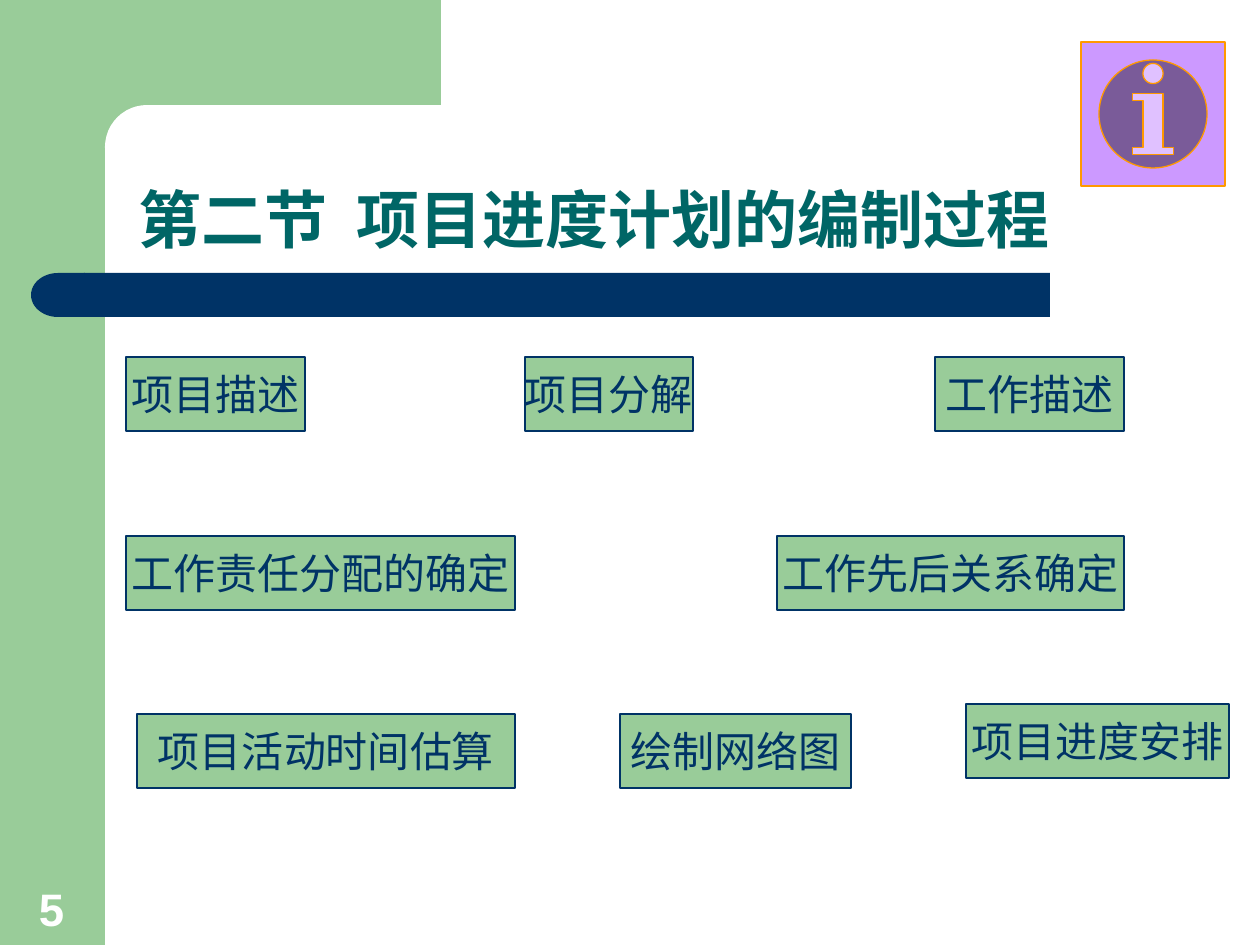
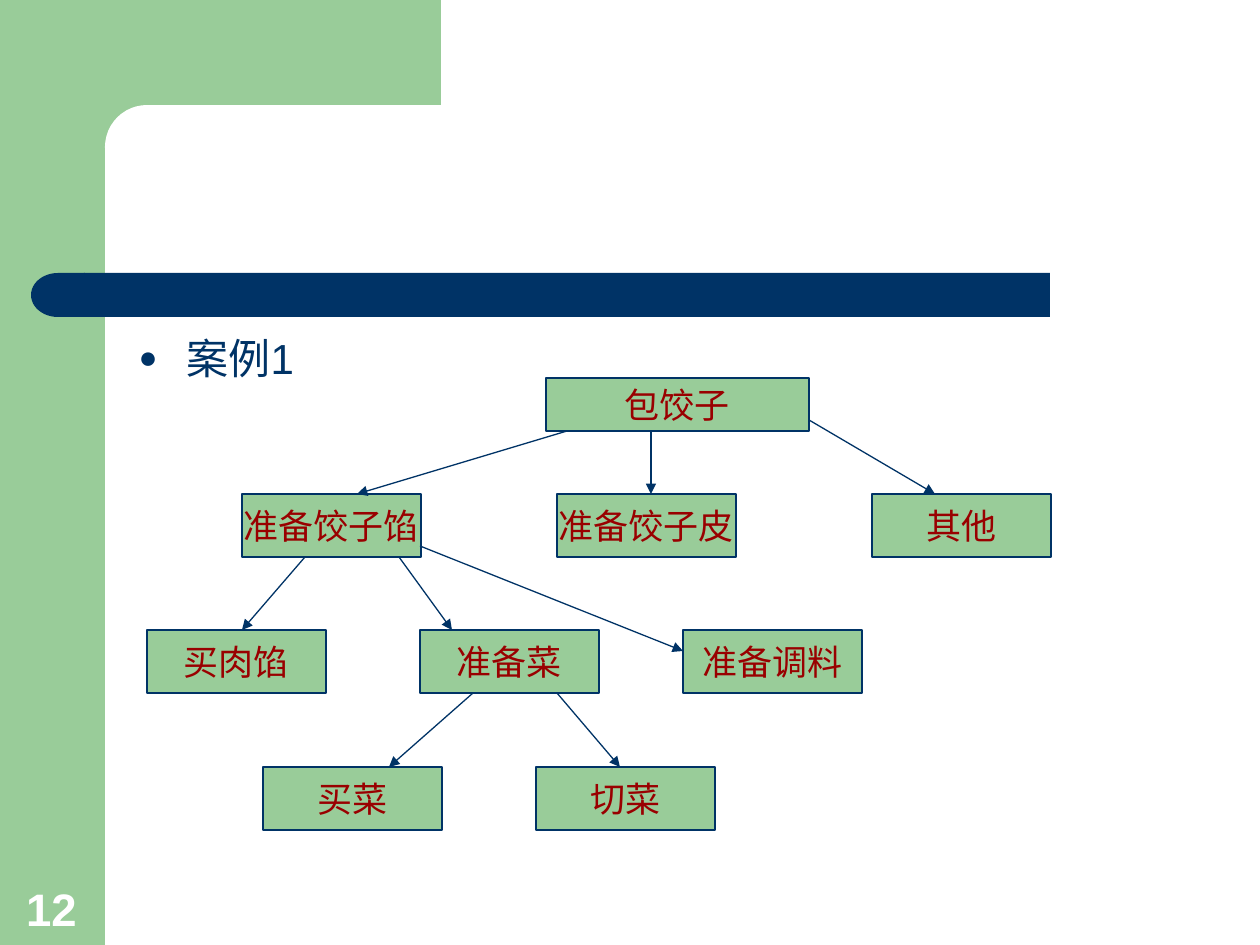
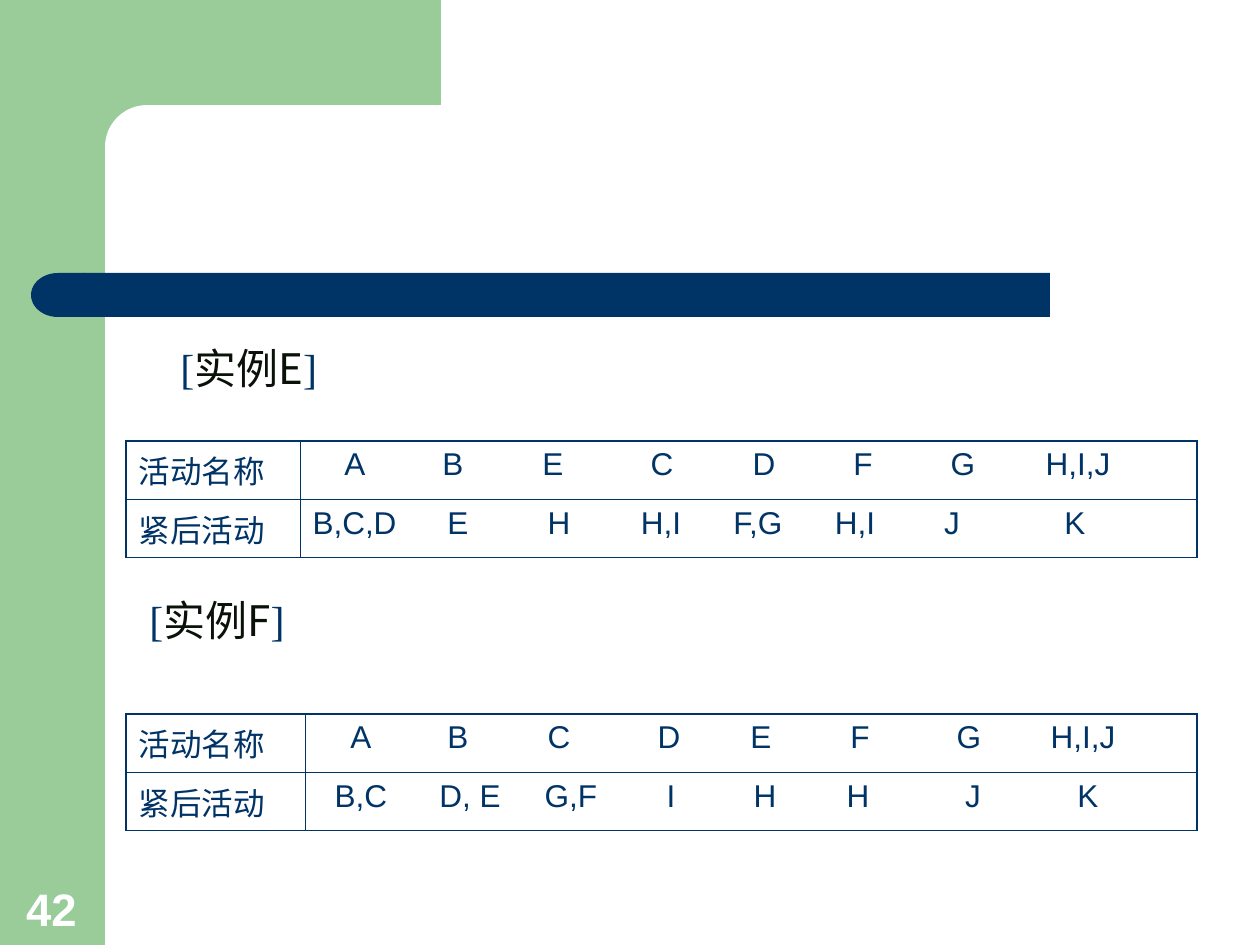
import pptx
import pptx.dml.color
import pptx.enum.shapes
import pptx.enum.text
import pptx.oxml
import pptx.oxml.ns
import pptx.util

SHAPE = pptx.enum.shapes.MSO_SHAPE
ANCHOR = pptx.enum.text.MSO_ANCHOR
ALIGN = pptx.enum.text.PP_ALIGN

EMU_PER_PX = 914400 / 126
GREEN, NAVY, TEAL, RED = "99CC99", "003366", "006666", "990000"
WHITE, INK, VIOLET, ORANGE = "FFFFFF", "091109", "CC99FF", "FF9900"
SANS, SERIF, CHINESE = "Arial", "Times New Roman", "Noto Sans CJK SC"
CELL_MARGIN = 12.6

STEPS = [
    ("项目描述", 126, 357, 179), ("项目分解", 525, 357, 168), ("工作描述", 935, 357, 189),
    ("工作责任分配的确定", 126, 536, 389), ("工作先后关系确定", 777, 536, 347),
    ("项目活动时间估算", 137, 714, 378), ("绘制网络图", 620, 714, 231),
    ("项目进度安排", 966, 704, 263),
]
TASK_ROWS = [
    (494, [("准备饺子馅", 242), ("准备饺子皮", 557), ("其他", 872)]),
    (630, [("买肉馅", 147), ("准备菜", 420), ("准备调料", 683)]),
    (767, [("买菜", 263), ("切菜", 536)]),
]
TASK_ARROWS = [
    (651, 431, 651, 494), (567, 431, 357, 494), (809, 420, 935, 494),
    (305, 557, 242, 630), (399, 557, 452, 630), (420, 546, 683, 651),
    (473, 693, 389, 767), (557, 693, 620, 767),
]
# Each row holds its label, its entries and the x centre of each entry.
EXAMPLE_E = [
    ("活动名称", ["A", "B", "E", "C", "D", "F", "G", "H,I,J"],
     [355, 453, 553, 662, 764, 863, 963, 1078]),
    ("紧后活动", ["B,C,D", "E", "H", "H,I", "F,G", "H,I", "J", "K"],
     [354, 458, 559, 661, 758, 855, 952, 1075]),
]
EXAMPLE_F = [
    ("活动名称", ["A", "B", "C", "D", "E", "F", "G", "H,I,J"],
     [361, 458, 559, 669, 761, 860, 969, 1083]),
    ("紧后活动", ["B,C", "D, E", "G,F", "I", "H", "H", "J", "K"],
     [361, 470, 571, 671, 765, 858, 973, 1088]),
]


def px(length):
    return pptx.util.Emu(round(length * EMU_PER_PX))


def rgb(color):
    return pptx.dml.color.RGBColor.from_string(color)


def add_xml(parent, tag, **attributes):
    child = pptx.oxml.parse_xml(f'<a:{tag} {pptx.oxml.ns.nsdecls("a")}/>')
    for name, value in attributes.items():
        child.set(name, str(value))
    parent.append(child)
    return child


def add_span(para, text, size=24, color=NAVY, font=SANS, bold=False):
    span = para.add_run()
    span.text = text
    span.font.size = pptx.util.Pt(size)
    span.font.color.rgb = rgb(color)
    span.font.name = font
    span.font.bold = bold
    add_xml(span.font._element, "ea", typeface=CHINESE)


def place(shape, left, top, width, height):
    shape.left, shape.top, shape.width, shape.height = map(px, (left, top, width, height))


def add_block(page, kind, area, fill, line=None):
    block = page.shapes.add_shape(kind, *map(px, area))
    block.shadow.inherit = False
    block.fill.solid()
    block.fill.fore_color.rgb = rgb(fill)
    if line:
        block.line.color.rgb = rgb(line)
        block.line.width = pptx.util.Pt(0.75)
    else:
        block.line.fill.background()
    return block


def add_label_box(page, text, area, **text_format):
    box = add_block(page, SHAPE.RECTANGLE, area, GREEN, NAVY)
    box.text_frame.word_wrap = False
    box.text_frame.vertical_anchor = ANCHOR.MIDDLE
    para = box.text_frame.paragraphs[0]
    para.alignment = ALIGN.CENTER
    add_span(para, text, font=SERIF, **text_format)


def add_text_box(page, area):
    """Add an empty wrapping text box and return its text frame."""
    frame = page.shapes.add_textbox(*map(px, area)).text_frame
    frame.word_wrap = True
    return frame


def add_page_number(page, number):
    frame = add_text_box(page, (11, 874, 81, 68))
    frame.vertical_anchor = ANCHOR.BOTTOM
    frame.paragraphs[0].alignment = ALIGN.CENTER
    add_span(frame.paragraphs[0], number, size=26, color=WHITE, bold=True)


def add_arrow(page, *ends):
    arrow = page.shapes.add_connector(pptx.enum.shapes.MSO_CONNECTOR.STRAIGHT, *map(px, ends))
    arrow.line.color.rgb = rgb(NAVY)
    arrow.line.width = pptx.util.Pt(0.75)
    add_xml(arrow.line._get_or_add_ln(), "tailEnd", type="triangle")
    add_xml(arrow.element.spPr, "effectLst")


def set_borders(cell, widths):
    """Draw the cell's borders, with widths in points keyed by side."""
    properties = cell._tc.get_or_add_tcPr()
    for side in "LRTB":
        line = add_xml(properties, f"ln{side}", w=pptx.util.Pt(widths[side]))
        add_xml(add_xml(line, "solidFill"), "srgbClr", val=NAVY)
    cell.fill.background()


def add_activity_table(page, top, label_width, rows):
    left, width, row_height = 126, 1071, 58
    table = page.shapes.add_table(
        len(rows), 2, px(left), px(top), px(width), px(row_height * len(rows))).table
    table.first_row = table.horz_banding = False
    table.columns[0].width = px(label_width)
    table.columns[1].width = px(width - label_width)
    text_left = left + label_width + CELL_MARGIN
    for row, (label, entries, centers) in enumerate(rows):
        for column, text in enumerate((label, "".join("\t" + entry for entry in entries))):
            cell = table.cell(row, column)
            para = cell.text_frame.paragraphs[0]
            if column == 1:
                tabs = add_xml(para._p.get_or_add_pPr(), "tabLst")
                for center in centers:
                    add_xml(tabs, "tab", pos=px(center - text_left), algn="ctr")
            add_span(para, text, size=18)
            outer = {"L": column == 0, "R": column == 1,
                     "T": row == 0, "B": row == len(rows) - 1}
            set_borders(cell, {side: 1.08 if edge else 0.45 for side, edge in outer.items()})


def add_example_heading(page, name, left, top):
    para = add_text_box(page, (left, top, 260, 63)).paragraphs[0]
    add_span(para, "[", font=SERIF)
    add_span(para, name, font=CHINESE, color=INK)
    add_span(para, "]", font=SERIF)


def decorate_master(deck, page):
    """Draw the shared bands on a page, then move them to the slide master."""
    blocks = [
        add_block(page, SHAPE.RECTANGLE, (0, 0, 105, 945), GREEN),
        add_block(page, SHAPE.RECTANGLE, (95, 0, 346, 147), GREEN),
        add_block(page, SHAPE.ROUNDED_RECTANGLE, (105, 105, 703, 84), WHITE),
        add_block(page, SHAPE.RECTANGLE, (84, 273, 966, 44), NAVY),
        add_block(page, SHAPE.FLOWCHART_DELAY, (31, 273, 54, 44), NAVY),
    ]
    blocks[2].adjustments[0] = 0.5
    blocks[4].rotation = 180
    for block in blocks:
        deck.slide_master.shapes.element.append(block.element)


def build_process_page(page):
    title = page.shapes.title
    place(title, 126, 105, 1103, 158)
    title.text_frame.vertical_anchor = ANCHOR.BOTTOM
    para = title.text_frame.paragraphs[0]
    para.alignment = ALIGN.LEFT
    para.line_spacing = 0.9
    add_span(para, "第二节  项目进度计划的编制过程", size=36, color=TEAL, bold=True)
    for text, left, top, width in STEPS:
        add_label_box(page, text, (left, top, width, 74))
    add_block(page, SHAPE.ACTION_BUTTON_INFORMATION, (1081, 42, 144, 144), VIOLET, ORANGE)
    add_page_number(page, "5")


def build_breakdown_page(page):
    title = page.shapes.title.element
    title.getparent().remove(title)
    body = page.placeholders[1]
    place(body, 126, 326, 1103, 514)
    para = body.text_frame.paragraphs[0]
    properties = para._p.get_or_add_pPr()
    properties.set("marL", str(px(48)))
    properties.set("indent", str(px(-48)))
    add_xml(add_xml(properties, "buClr"), "srgbClr", val=NAVY)
    add_xml(properties, "buSzPct", val=75000)
    add_xml(properties, "buChar", char="●")
    para.space_before = pptx.util.Pt(0)
    add_span(para, "案例1")
    add_label_box(page, "包饺子", (546, 378, 263, 53), size=20, color=RED)
    for top, tasks in TASK_ROWS:
        for text, left in tasks:
            add_label_box(page, text, (left, top, 179, 63), size=20, color=RED)
    for ends in TASK_ARROWS:
        add_arrow(page, *ends)
    add_page_number(page, "12")


def build_examples_page(page):
    add_activity_table(page, 441, 174, EXAMPLE_E)
    add_activity_table(page, 714, 179, EXAMPLE_F)
    add_example_heading(page, "实例E", 168, 336)
    add_example_heading(page, "实例F", 137, 588)
    add_page_number(page, "42")


def main():
    deck = pptx.Presentation()
    deck.slide_width, deck.slide_height = px(1260), px(945)
    title_and_content, title_only, blank = (deck.slide_layouts[i] for i in (1, 5, 6))
    process_page = deck.slides.add_slide(title_only)
    decorate_master(deck, process_page)
    build_process_page(process_page)
    build_breakdown_page(deck.slides.add_slide(title_and_content))
    build_examples_page(deck.slides.add_slide(blank))
    deck.save("out.pptx")


if __name__ == "__main__":
    main()
